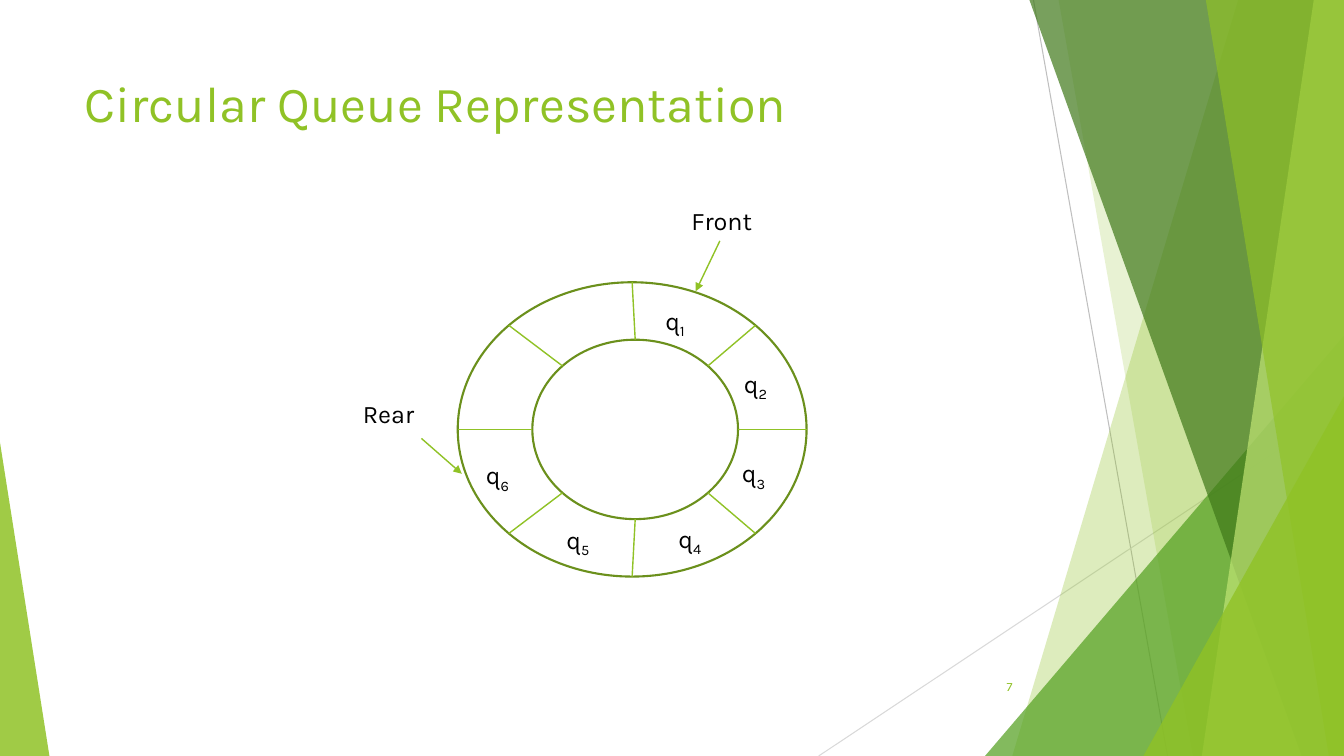
from math import cos, pi, sin

from lxml.etree import SubElement
from pptx import Presentation
from pptx.dml.color import RGBColor
from pptx.enum.shapes import MSO_CONNECTOR, MSO_SHAPE
from pptx.enum.text import MSO_ANCHOR, PP_ALIGN
from pptx.oxml.ns import qn
from pptx.util import Inches, Pt

FONT = "Karla"
LIME = RGBColor(0x90, 0xC2, 0x26)
PALE_LIME = RGBColor(0xC0, 0xE4, 0x74)
GREEN = RGBColor(0x54, 0xA0, 0x21)
DARK_GREEN = RGBColor(0x3F, 0x78, 0x19)
OLIVE = RGBColor(0x6B, 0x90, 0x1C)
GRAY = RGBColor(0xBF, 0xBF, 0xBF)
LIGHT_GRAY = RGBColor(0xD9, 0xD9, 0xD9)
WHITE = RGBColor(0xFF, 0xFF, 0xFF)
BLACK = RGBColor(0, 0, 0)

WIDTH, HEIGHT = 13.33, 7.5


def add_span(para, text, size=18, color=BLACK, subscript=False):
    span = para.add_run()
    span.text = text
    span.font.name = FONT
    span.font.size = Pt(size)
    span.font.color.rgb = color
    if subscript:
        span._r.get_or_add_rPr().set("baseline", "-25000")


class SlideBuilder:
    def __init__(self, slide):
        self.slide = slide
        self.shapes = slide.shapes

    def fill(self, shape, color, opacity=100):
        shape.shadow.inherit = False
        shape.fill.solid()
        shape.fill.fore_color.rgb = color
        shape.line.fill.background()
        if opacity < 100:
            color_node = shape.fill._xPr.find(qn("a:solidFill"))[0]
            SubElement(color_node, qn("a:alpha")).set("val", str(opacity * 1000))

    def title(self, text, left, top, width, height):
        title = self.shapes.title
        title.left, title.top = Inches(left), Inches(top)
        title.width, title.height = Inches(width), Inches(height)
        title.text_frame.vertical_anchor = MSO_ANCHOR.TOP
        para = title.text_frame.paragraphs[0]
        para.alignment = PP_ALIGN.LEFT
        add_span(para, text, size=36, color=LIME)

    def label(self, text, left, top, width, subscript="", align=PP_ALIGN.LEFT,
              anchor=MSO_ANCHOR.TOP, **style):
        box = self.shapes.add_textbox(Inches(left), Inches(top), Inches(width), Inches(0.4))
        box.text_frame.word_wrap = True
        box.text_frame.vertical_anchor = anchor
        para = box.text_frame.paragraphs[0]
        para.alignment = align
        add_span(para, text, **style)
        if subscript:
            add_span(para, subscript, subscript=True, **style)

    def line(self, start, end, color=LIME, weight=1, arrow=False):
        line = self.shapes.add_connector(
            MSO_CONNECTOR.STRAIGHT, *(Inches(value) for value in (*start, *end)))
        line.line.color.rgb = color
        line.line.width = Pt(weight)
        if arrow:
            SubElement(line.line._get_or_add_ln(), qn("a:tailEnd")).set("type", "triangle")
        SubElement(line._element.spPr, qn("a:effectLst"))

    def band(self, top_left, bottom_left, color, opacity):
        """Fill from a slanted left edge to the right side of the slide."""
        corners = [(top_left, 0), (WIDTH, 0), (WIDTH, HEIGHT), (bottom_left, HEIGHT)]
        points = [(Inches(x), Inches(y)) for x, y in corners]
        outline = self.shapes.build_freeform(*points[0])
        outline.add_line_segments(points[1:], close=True)
        self.fill(outline.convert_to_shape(), color, opacity)

    def triangle(self, left, top, width, apex, color, opacity):
        shape = self.shapes.add_shape(
            MSO_SHAPE.ISOSCELES_TRIANGLE, Inches(left), Inches(top),
            Inches(width), Inches(HEIGHT - top))
        shape.adjustments[0] = apex
        self.fill(shape, color, opacity)

    def ring(self, center_x, center_y, radius_x, radius_y):
        shape = self.shapes.add_shape(
            MSO_SHAPE.OVAL, Inches(center_x - radius_x), Inches(center_y - radius_y),
            Inches(2 * radius_x), Inches(2 * radius_y))
        self.fill(shape, WHITE)
        shape.line.color.rgb = OLIVE
        shape.line.width = Pt(1.5)


def ring_point(ring, angle):
    center_x, center_y, radius_x, radius_y = ring
    return center_x + radius_x * cos(angle), center_y + radius_y * sin(angle)


def main():
    deck = Presentation()
    deck.slide_width, deck.slide_height = Inches(WIDTH), Inches(HEIGHT)
    page = SlideBuilder(deck.slides.add_slide(deck.slide_layouts[5]))

    # Green facets at the slide edges
    page.line((10.25, 0), (11.58, HEIGHT), color=GRAY, weight=0.75)
    page.line((WIDTH, 4.03), (8.12, HEIGHT), color=LIGHT_GRAY, weight=0.75)
    page.band(12.28, 10.04, LIME, 30)
    page.band(10.5, 11.83, LIME, 20)
    page.triangle(9.77, 3.33, 3.56, 1, GREEN, 72)
    page.band(10.21, 12.91, DARK_GREEN, 70)
    page.band(13.03, 11.92, PALE_LIME, 70)
    page.band(11.96, 13.18, LIME, 65)
    page.triangle(11.34, 3.93, 1.99, 1, LIME, 80)
    page.triangle(0, 4.39, 0.49, 0, LIME, 85)

    page.title("Circular Queue Representation", 0.74, 0.67, 9.4, 1.44)

    # Circular queue: two rings cut into eight cells
    outer = (6.27, 4.26, 1.73, 1.46)
    inner = (6.3, 4.26, 1.02, 0.89)
    page.ring(*outer)
    page.ring(*inner)
    for step in range(8):
        angle = step * pi / 4
        page.line(ring_point(inner, angle), ring_point(outer, angle))

    # Front and rear pointers
    page.label("Front", 6.76, 1.99, 1.47)
    page.label("Rear", 3.5, 3.9, 0.88)
    page.line((4.18, 4.35), (4.58, 4.7), arrow=True)
    page.line((7.14, 2.39), (6.9, 2.89), arrow=True)

    # Queue items, clockwise from the front
    item_corners = [(6.5, 2.98), (7.28, 3.6), (7.26, 4.49),
                    (6.63, 5.14), (5.52, 5.15), (4.72, 4.51)]
    for number, (left, top) in enumerate(item_corners, start=1):
        page.label("q", left, top, 0.56, subscript=str(number))

    # Slide number
    page.label("7", 9.39, 6.61, 0.75, align=PP_ALIGN.RIGHT,
               anchor=MSO_ANCHOR.MIDDLE, size=9, color=LIME)

    deck.save("out.pptx")


if __name__ == "__main__":
    main()
